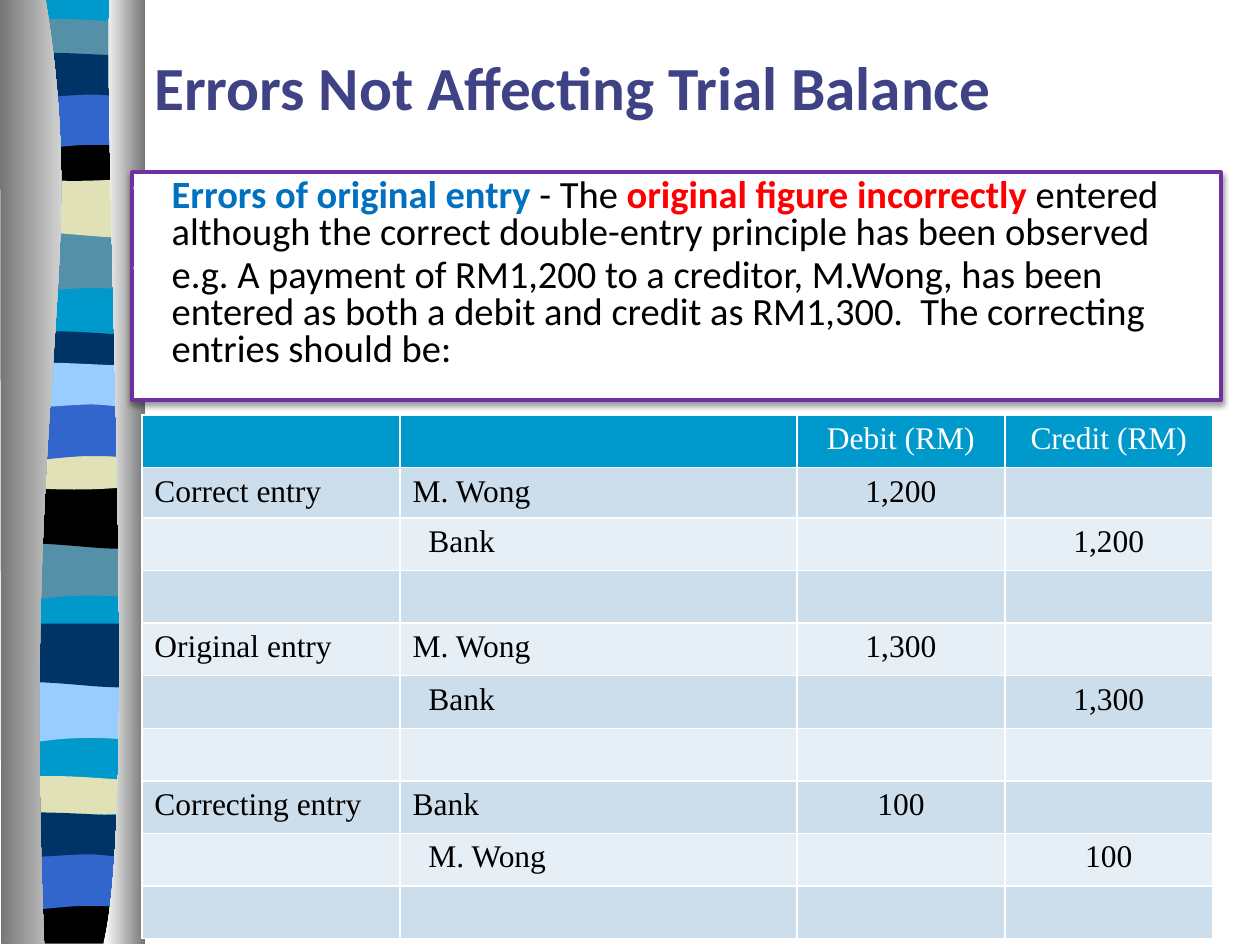
from dataclasses import dataclass
from typing import NamedTuple

from lxml import etree
from pptx import Presentation, util as u
from pptx.dml.color import RGBColor
from pptx.enum import shapes, text
from pptx.oxml.ns import qn

COLUMNS, ROWS = 100, 75
CELL = u.Inches(10) // COLUMNS


@dataclass(frozen=True)
class Theme:
    sans: str = "Calibri"
    serif: str = "Times New Roman"
    title_size: int = 35
    body_size: int = 22
    table_size: int = 18
    black: str = "000000"
    white: str = "FFFFFF"
    grey: str = "767676"
    title: str = "3F4284"
    term: str = "0070C0"
    alert: str = "FF0000"
    frame: str = "7030A0"
    cyan: str = "0099CC"
    teal: str = "5490A8"
    sand: str = "E1E1B7"
    blue: str = "3366CC"
    navy: str = "003366"
    sky: str = "99CCFF"
    row_fills: tuple = ("E7EFF6", "CCDEEC")


class Box(NamedTuple):
    left: float
    top: float
    width: float
    height: float


class Band(NamedTuple):
    wave: str
    left: float
    top: float
    colour: str


class Entry(NamedTuple):
    kind: str = ""
    account: str = ""
    debit: str = ""
    credit: str = ""
    indented: bool = False


THEME = Theme()

# Each outline step is a point, or the three control points of a curve.
WAVES = {
    "dip": [(10.8, 0), (10.8, 4.7), ((3.3, 3.9), (1.8, 5.5), (0, 4.7)), (0, 0)],
    "crest": [(10.8, 0), (10.8, 4.8), ((9, 5.6), (3.3, 4.2), (0, 4.8)), (0, 0)],
    "arch": [(10.8, 0), (10.8, 2.4), ((9, 2.8), (1.8, 2.8), (0, 2.4)), (0, 0),
             ((0.7, -0.5), (2.3, -0.4), (4.1, -0.4)), ((6, -0.4), (9.4, -0.1), (10.8, 0))],
    "sag": [(10.8, 0), (10.8, 3.2), ((9, 3.8), (1.8, 3.8), (0, 3.2)), (0, 0),
            ((6.6, 0.5), (8.5, 0), (10.8, 0))],
    "swell": [(10.8, 0), (10.8, 4.7), ((9.1, 4.2), (8.4, 4.2), (6.6, 4.2)),
              ((4.8, 4.2), (1.6, 4.7), (0, 4.7)), (0, 0)],
    "ripple": [(10.8, 0), (10.8, 3.1), ((10.1, 3.6), (8.5, 3.1), (6.7, 3.1)),
               ((4.9, 3.1), (1.1, 3.6), (0, 3.1)), (0, 0),
               ((1.5, -0.5), (7.4, 0), (9.2, 0)), ((11, 0), (10.5, 0), (10.8, 0))],
    "floor": [(10.8, 0), (10.8, 3.7), (0.1, 3.7), (0, 0), ((6.6, 0.5), (8.5, 0), (10.8, 0))],
}
BACKDROP = [(11.4, -0.1), (11.4, 74.7), (0.6, 74.7), (0.6, -0.1)]
LEFT_CURTAIN = [(3.6, -0.1), ((7.2, 21.6), (1.7, 29.6), (3.5, 74.9)), (0.1, 74.9), (0, -0.1)]
RIGHT_CURTAIN = [(8.7, -0.1), ((8.2, 12.5), (11, 64.6), (8.2, 74.9)), (11.5, 74.9), (11.5, 0)]

BANDS = [
    Band("dip", 0.5, 18.4, THEME.teal), Band("crest", 0.6, 13.8, THEME.sand),
    Band("arch", 0.6, 1.9, THEME.teal), Band("sag", 0.5, 10.7, THEME.black),
    Band("swell", 0.6, 7.3, THEME.blue), Band("ripple", 0.6, 4.4, THEME.navy),
    Band("dip", 0.3, 42.8, THEME.teal), Band("crest", 0.4, 38.5, THEME.black),
    Band("arch", 0.5, 26.7, THEME.navy), Band("sag", 0.5, 35.2, THEME.sand),
    Band("swell", 0.5, 32, THEME.blue), Band("ripple", 0.5, 29, THEME.sky),
    Band("dip", 0.3, 54.1, THEME.sky), Band("crest", 0.4, 49.5, THEME.navy),
    Band("arch", 0.3, 62, THEME.sand), Band("floor", 0.4, 71.2, THEME.black),
    Band("swell", 0.2, 67.7, THEME.blue), Band("ripple", 0.2, 64.7, THEME.navy),
]

ENTRIES = [
    Entry("", "", "Debit (RM)", "Credit (RM)"),
    Entry("Correct entry", "M. Wong", debit="1,200"),
    Entry("", "Bank", credit="1,200", indented=True),
    Entry(),
    Entry("Original entry", "M. Wong", debit="1,300"),
    Entry("", "Bank", credit="1,300", indented=True),
    Entry(),
    Entry("Correcting entry", "Bank", debit="100"),
    Entry("", "M. Wong", credit="100", indented=True),
    Entry(),
]


def cells(count: float) -> int:
    return round(count * CELL)


def rgb(colour: str) -> RGBColor:
    return RGBColor.from_string(colour)


def is_curve(step: tuple) -> bool:
    return len(step) == 3


def bend_curves(shape, steps: list) -> None:
    lines = iter(list(shape._element.spPr.iter(qn("a:lnTo"))))
    for step in steps:
        line = next(lines)
        if is_curve(step):
            curve = etree.Element(qn("a:cubicBezTo"))
            line.addprevious(curve)
            for part in (line, next(lines), next(lines)):
                curve.append(part[0])
                part.getparent().remove(part)


def draw_outline(slide, outline: list, *colours: str, left: float = 0, top: float = 0) -> None:
    flat = [point for step in outline for point in (step if is_curve(step) else (step,))]
    points = [(cells(left + x), cells(top + y)) for x, y in flat]
    builder = slide.shapes.build_freeform(*points[0])
    builder.add_line_segments(points[1:], close=True)
    shape = builder.convert_to_shape()
    bend_curves(shape, outline[1:])
    shape.shadow.inherit = False
    shape.line.fill.background()
    if len(colours) == 1:
        shape.fill.solid()
        shape.fill.fore_color.rgb = rgb(colours[0])
        return
    shape.fill.gradient()
    shape.fill.gradient_angle = 0
    for stop, colour in zip(shape.fill.gradient_stops, colours):
        stop.color.rgb = rgb(colour)


def add_text(paragraph, content: str, *, font: str, size: float, colour: str,
             bold: bool = False) -> None:
    run = paragraph.add_run()
    run.text = content
    run.font.name, run.font.size, run.font.bold = font, u.Pt(size), bold
    run.font.color.rgb = rgb(colour)


def draw_title(slide, box: Box, content: str) -> None:
    frame = slide.shapes.add_textbox(*map(cells, box)).text_frame
    frame.word_wrap = True
    frame.vertical_anchor = text.MSO_ANCHOR.MIDDLE
    add_text(frame.paragraphs[0], content, font=THEME.sans, size=THEME.title_size,
             colour=THEME.title, bold=True)


def add_soft_shadow(shape) -> None:
    shape.shadow.inherit = False
    effects = shape._element.spPr.find(qn("a:effectLst"))
    shadow = etree.SubElement(effects, qn("a:outerShdw"), blurRad=str(u.Pt(3.1)),
                              dist=str(u.Pt(1.6)), dir="5400000", rotWithShape="0")
    colour = etree.SubElement(shadow, qn("a:srgbClr"), val=THEME.black)
    etree.SubElement(colour, qn("a:alpha"), val="38000")


def add_bullet(paragraph, indent: float) -> None:
    properties = paragraph._p.get_or_add_pPr()
    properties.set("marL", str(cells(indent)))
    properties.set("indent", str(-cells(indent)))
    colour = etree.SubElement(properties, qn("a:buClr"))
    etree.SubElement(colour, qn("a:srgbClr"), val=THEME.white)
    etree.SubElement(properties, qn("a:buSzPct"), val="95000")
    etree.SubElement(properties, qn("a:buChar"), char="•")


def draw_panel(slide, box: Box, paragraphs: list) -> None:
    shape = slide.shapes.add_shape(shapes.MSO_SHAPE.RECTANGLE, *map(cells, box))
    add_soft_shadow(shape)
    shape.fill.solid()
    shape.fill.fore_color.rgb = rgb(THEME.white)
    shape.line.color.rgb = rgb(THEME.frame)
    shape.line.width = u.Pt(2.25)
    frame = shape.text_frame
    frame.word_wrap = True
    frame.vertical_anchor = text.MSO_ANCHOR.TOP
    frame.margin_left, frame.margin_right = 0, cells(0.2)
    for index, runs in enumerate(paragraphs):
        paragraph = frame.add_paragraph() if index else frame.paragraphs[0]
        add_bullet(paragraph, 3.13)
        paragraph.alignment = text.PP_ALIGN.LEFT
        paragraph.line_spacing = 0.8
        if index:
            paragraph.space_before = u.Pt(3.5)
        for content, colour in runs:
            add_text(paragraph, content, font=THEME.sans, size=THEME.body_size,
                     colour=colour, bold=colour != THEME.black)


def add_borders(cell) -> None:
    properties = cell._tc.get_or_add_tcPr()
    for side in ("lnL", "lnR", "lnT", "lnB"):
        line = etree.SubElement(properties, qn(f"a:{side}"), w=str(u.Pt(1)))
        fill = etree.SubElement(line, qn("a:solidFill"))
        etree.SubElement(fill, qn("a:srgbClr"), val=THEME.white)


def draw_table(slide, box: Box, widths: list, heights: list) -> None:
    table = slide.shapes.add_table(len(heights), len(widths), *map(cells, box)).table
    table.first_row = table.horz_banding = False
    for column, width in zip(table.columns, widths):
        column.width = cells(width)
    for index, (row, height, entry) in enumerate(zip(table.rows, heights, ENTRIES)):
        row.height = cells(height)
        fill = THEME.row_fills[index % 2] if index else THEME.cyan
        for position, (cell, content) in enumerate(zip(row.cells, entry[:4])):
            add_borders(cell)
            cell.fill.solid()
            cell.fill.fore_color.rgb = rgb(fill)
            if position == 1 and entry.indented:
                cell.margin_left = cells(2.25)
            if content:
                paragraph = cell.text_frame.paragraphs[0]
                paragraph.alignment = text.PP_ALIGN.CENTER if position > 1 else text.PP_ALIGN.LEFT
                add_text(paragraph, content, font=THEME.serif, size=THEME.table_size,
                         colour=THEME.black if index else THEME.white)


def main() -> None:
    presentation = Presentation()
    presentation.slide_width, presentation.slide_height = cells(COLUMNS), cells(ROWS)
    slide = presentation.slides.add_slide(presentation.slide_layouts[6])
    draw_outline(slide, BACKDROP, THEME.cyan)
    for band in BANDS:
        draw_outline(slide, WAVES[band.wave], band.colour, left=band.left, top=band.top)
    draw_outline(slide, LEFT_CURTAIN, THEME.grey, THEME.white)
    draw_outline(slide, RIGHT_CURTAIN, THEME.white, THEME.grey)
    draw_panel(slide, Box(10.5, 13.68, 86.4, 18.1), [
        [("Errors of original entry ", THEME.term), ("- The ", THEME.black),
         ("original figure incorrectly", THEME.alert),
         (" entered although the correct double-entry principle has been observed", THEME.black)],
        [("e.g. A payment of RM1,200 to a creditor, M.Wong, has been entered as both a debit "
          "and credit as RM1,300.  The correcting entries should be:", THEME.black)],
    ])
    draw_title(slide, Box(11.25, 1.35, 84.9, 11), "Errors Not Affecting Trial Balance")
    draw_table(slide, Box(11.25, 32.95, 85, 41.5), [20.5, 31.5, 16.5, 16.5],
               [4.17, 3.98] + [4.17] * 8)
    presentation.save("out.pptx")


if __name__ == "__main__":
    main()
